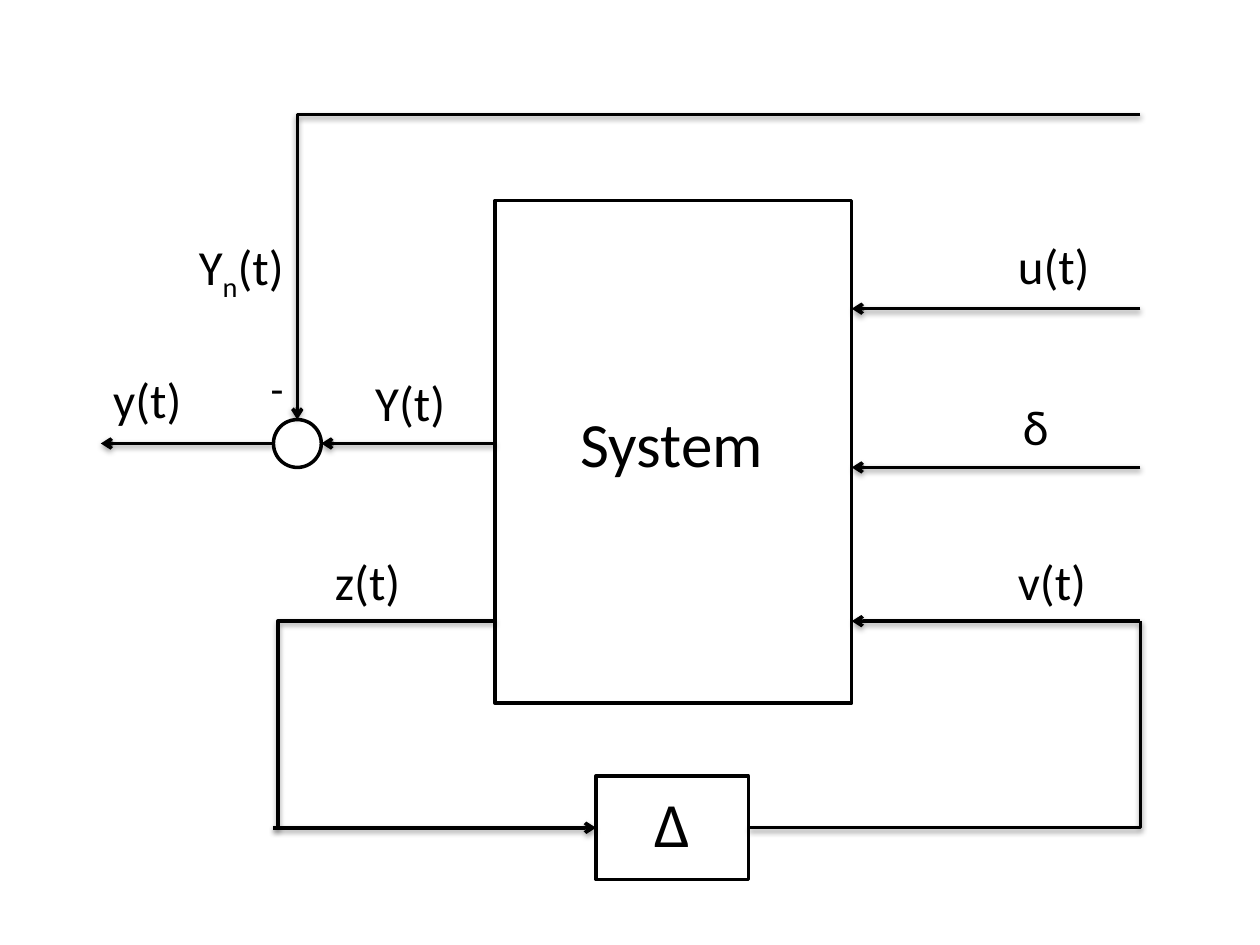
from lxml import etree
from pptx import Presentation
from pptx.dml.color import RGBColor
from pptx.enum.shapes import MSO_CONNECTOR as Connector, MSO_SHAPE as Shape
from pptx.enum.text import MSO_AUTO_SIZE as AutoSize
from pptx.oxml import parse_xml
from pptx.oxml.ns import nsdecls, qn
from pptx.util import Inches, Pt

BLACK, WHITE = "000000", "FFFFFF"
SHADOW = (
    f'<a:effectLst {nsdecls("a")}><a:outerShdw blurRad="40000" dist="20000" dir="5400000" '
    f'rotWithShape="0"><a:srgbClr val="{BLACK}"><a:alpha val="38000"/></a:srgbClr>'
    '</a:outerShdw></a:effectLst>'
)


def color(hex_string):
    return RGBColor.from_string(hex_string)


def add_block(group, kind, left, top, width, height):
    block = group.shapes.add_shape(kind, *map(Inches, (left, top, width, height)))
    block.shadow.inherit = False
    block.fill.solid()
    block.fill.fore_color.rgb = color(WHITE)
    block.line.color.rgb = color(BLACK)
    block.line.width = Pt(2)


def add_signal(group, start, end, arrow=True, preset="line", bend=None):
    """Draw a signal line; bend is where a three-part elbow turns, in 1/100000 of its width."""
    kind = Connector.STRAIGHT if preset == "line" else Connector.ELBOW
    signal = group.shapes.add_connector(kind, *map(Inches, (*start, *end)))
    signal.line.color.rgb = color(BLACK)
    signal.line.width = Pt(2)
    properties = signal._element.spPr
    geometry = properties.find(qn("a:prstGeom"))
    geometry.set("prst", preset)
    if bend is not None:
        guide = etree.SubElement(geometry.find(qn("a:avLst")), qn("a:gd"))
        guide.set("name", "adj1")
        guide.set("fmla", f"val {bend}")
    if arrow:
        line = properties.find(qn("a:ln"))
        etree.SubElement(line, qn("a:tailEnd")).set("type", "arrow")
    properties.append(parse_xml(SHADOW))


def add_label(group, text, left, top, width, height=0.57, size=28, subscript=""):
    """Add a label; a subscript goes after the first letter."""
    box = group.shapes.add_textbox(*map(Inches, (left, top, width, height)))
    frame = box.text_frame
    frame.word_wrap = True
    frame.auto_size = AutoSize.SHAPE_TO_FIT_TEXT
    paragraph = frame.paragraphs[0]
    parts = (text[0], subscript, text[1:]) if subscript else (text,)
    for part in parts:
        run = paragraph.add_run()
        run.text = part
        if subscript and part == subscript:
            run.font._element.set("baseline", "-25000")
    paragraph.font.name = "Calibri"
    paragraph.font.size = Pt(size)
    paragraph.font.color.rgb = color(BLACK)


def add_system(group, left, top, width, height, input_start):
    """System block with its three inputs on the right."""
    add_block(group, Shape.RECTANGLE, left, top, width, height)
    add_label(group, "System", left + 0.58, top + 1.57, 1.92, 0.71, size=36)
    right = left + width
    inputs = (("u(t)", 0.86, 1.22, 0.23, 1.23),
              ("δ", 2.12, 1.26, 1.51, 1.09),
              ("v(t)", 3.34, 1.22, 2.74, 1.46))
    for text, line_offset, label_x, label_y, label_width in inputs:
        y = top + line_offset
        add_signal(group, (input_start, y), (right, y))
        add_label(group, text, right + label_x, top + label_y, label_width)


def add_output(group, left, top, width, height, input_start):
    """Summing junction: Y(t) minus the nominal output gives y(t)."""
    right, bottom = left + width, top + height
    diameter = 0.38
    circle_left = left + 1.37
    center_x, center_y = circle_left + diameter / 2, bottom - diameter / 2
    add_signal(group, (right, center_y), (circle_left + diameter, center_y))
    add_block(group, Shape.OVAL, circle_left, bottom - diameter, diameter, diameter)
    add_signal(group, (input_start, top), (center_x, bottom - diameter),
               preset="bentConnector2")
    add_signal(group, (circle_left, center_y), (left, center_y))
    add_label(group, "-", left + 1.25, top + 1.92, 0.42, 0.5, size=24)
    add_label(group, "Y(t)", left + 0.68, top + 0.92, 1.07, subscript="n")
    add_label(group, "Y(t)", left + 2.08, top + 2, 1.14)
    add_label(group, "y(t)", left, top + 1.97, 0.99)


def add_feedback(group, left, top, width, height, system_left):
    """Uncertainty block that feeds z(t) back as v(t)."""
    right = left + width
    block_left, block_top, block_width, block_height = left + 2.56, top + 1.23, 1.21, 0.82
    middle = block_top + block_height / 2
    add_block(group, Shape.RECTANGLE, block_left, block_top, block_width, block_height)
    add_label(group, "Δ", block_left + 0.37, block_top + 0.02, 0.97, 0.71, size=36)
    add_signal(group, (system_left, top), (left, middle), arrow=False,
               preset="bentConnector3", bend=97900)
    add_signal(group, (left, middle), (block_left, middle))
    add_signal(group, (block_left + block_width, middle), (right, top), arrow=False,
               preset="bentConnector3", bend=100000)
    add_label(group, "z(t)", left + 0.39, top - 0.6, 1)


def main():
    presentation = Presentation()
    presentation.slide_width, presentation.slide_height = Inches(10), Inches(7.5)
    slide = presentation.slides.add_slide(presentation.slide_layouts[6])
    diagram = slide.shapes.add_group_shape()

    system_left, input_start = 3.93, 9.05
    add_system(diagram, system_left, 1.59, 2.83, 3.99, input_start)
    add_output(diagram, 0.8, 0.91, system_left - 0.8, 2.8, input_start)
    add_feedback(diagram, 2.17, 4.93, input_start - 2.17, 2.05, system_left)
    presentation.save("out.pptx")


if __name__ == "__main__":
    main()
